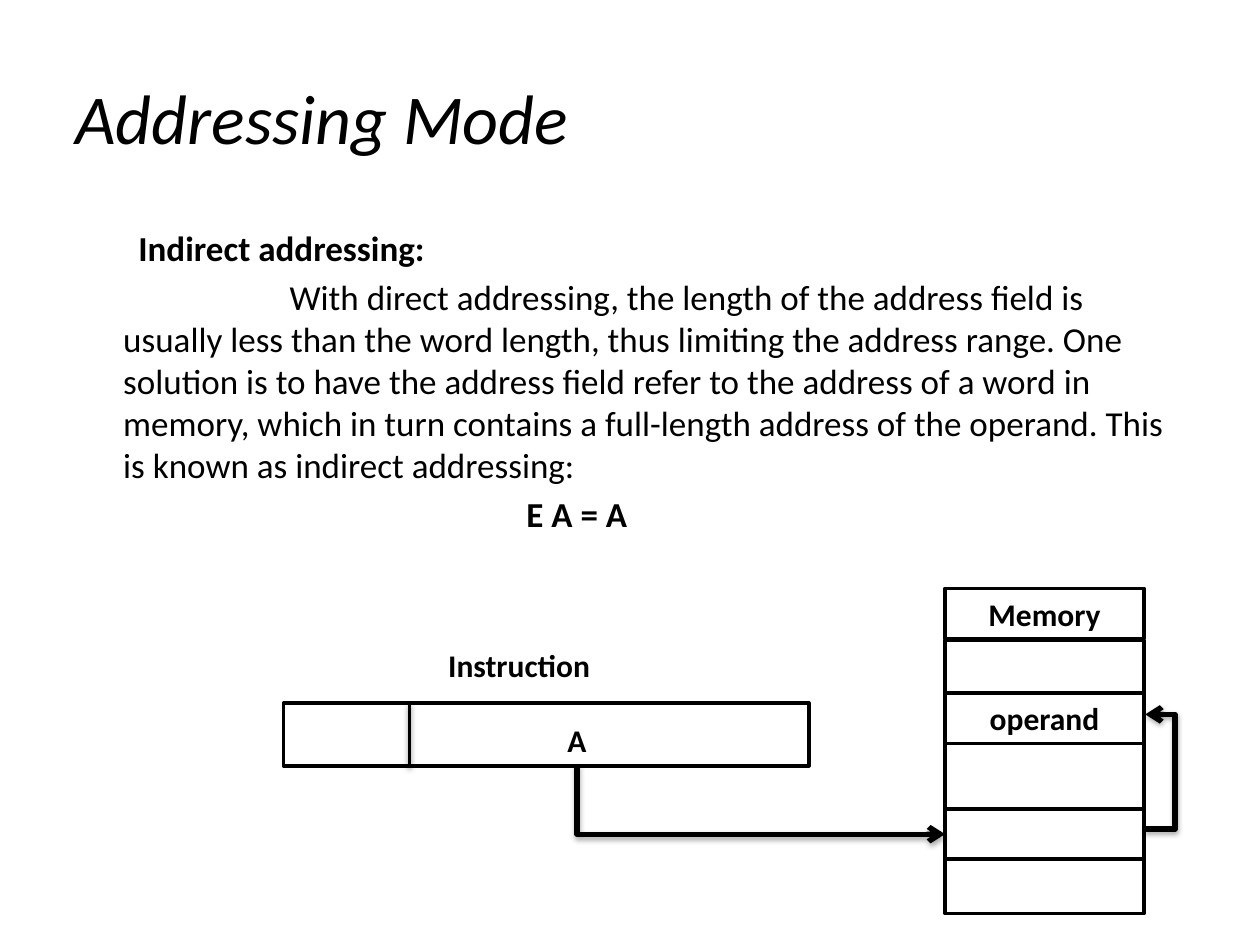
import pptx
import pptx.util
import pptx.dml.color
import pptx.enum.shapes
import pptx.enum.text
import pptx.oxml
import pptx.oxml.ns

Inches, Pt = pptx.util.Inches, pptx.util.Pt
qn = pptx.oxml.ns.qn
ALIGN = pptx.enum.text.PP_ALIGN
ANCHOR = pptx.enum.text.MSO_ANCHOR
CONN = pptx.enum.shapes.MSO_CONNECTOR

THEME = {
    "font": "Calibri", "ink": "000000", "paper": "FFFFFF",
    "title": 40, "body": 20, "label": 18, "box_line": 2, "arrow_line": 3,
}

# Content: body paragraphs are (text, bold, first-line indent)
TITLE = "Addressing Mode"
BODY = [
    ("Indirect addressing:", True, 0.12),
    ("With direct addressing, the length of the address field is usually less "
     "than the word length, thus limiting the address range. One solution is to "
     "have the address field refer to the address of a word in memory, which in "
     "turn contains a full-length address of the operand. This is known as "
     "indirect addressing:", False, 1.32),
    ("E A = A", True, 3.2),
]
BODY_MARGIN = 0.38
MEM_LEFT, MEM_WIDTH, ROW_HEIGHT = 7.5, 1.58, 0.4
MEM_RIGHT = MEM_LEFT + MEM_WIDTH
# Memory cells: (top, height, label)
MEMORY = [
    (5.08, 2.17, ""),
    (6.42, ROW_HEIGHT, ""),
    (4.67, ROW_HEIGHT, "Memory"),
    (5.5, ROW_HEIGHT, "operand"),
]
INSTRUCTION = (2.25, 5.58, 4.17, 0.5)
OPCODE_EDGE = 3.25
LABELS = [("Instruction", 3.08, 5.08, 2.08), ("A", 3.83, 5.67, 1.5)]


def rgb(name):
    return pptx.dml.color.RGBColor.from_string(THEME[name])


def add_run(p, text, size, bold=False, italic=False):
    r = p.add_run()
    r.text = text
    r.font.name, r.font.size = THEME["font"], Pt(THEME[size])
    r.font.bold, r.font.italic = bold, italic
    r.font.color.rgb = rgb("ink")


def add_text(slide, left, top, width, height):
    tf = slide.shapes.add_textbox(*map(Inches, (left, top, width, height))).text_frame
    tf.word_wrap = True
    return tf


def add_label(tf, text):
    tf.word_wrap = True
    tf.vertical_anchor = ANCHOR.TOP
    p = tf.paragraphs[0]
    p.alignment = ALIGN.CENTER
    add_run(p, text, "label", bold=True)


def add_box(slide, left, top, width, height, text=""):
    sp = slide.shapes.add_shape(pptx.enum.shapes.MSO_SHAPE.RECTANGLE,
                                *map(Inches, (left, top, width, height)))
    sp.shadow.inherit = False
    sp.fill.solid()
    sp.fill.fore_color.rgb = rgb("paper")
    sp.line.color.rgb = rgb("ink")
    sp.line.width = Pt(THEME["box_line"])
    if text:
        add_label(sp.text_frame, text)


def add_line(slide, kind, start, end, width, alpha, arrow=False):
    """Connector with a soft shadow straight below it."""
    c = slide.shapes.add_connector(kind, *map(Inches, start + end))
    c.line.color.rgb = rgb("ink")
    c.line.width = Pt(THEME[width])
    sppr = c._element.spPr
    if arrow:
        head = pptx.oxml.parse_xml(
            f'<a:tailEnd {pptx.oxml.ns.nsdecls("a")} type="arrow"/>')
        sppr.find(qn("a:ln")).append(head)
    sppr.append(pptx.oxml.parse_xml(
        f'<a:effectLst {pptx.oxml.ns.nsdecls("a")}>'
        f'<a:outerShdw blurRad="{Pt(3.1)}" dist="{Pt(1.7)}" dir="5400000" rotWithShape="0">'
        f'<a:srgbClr val="{THEME["ink"]}"><a:alpha val="{alpha * 1000}"/></a:srgbClr>'
        '</a:outerShdw></a:effectLst>'))
    return c


def bend_once(c, start, end):
    """Make an elbow run down first, then right to its end."""
    width, height = end[0] - start[0], end[1] - start[1]
    xfrm = c._element.spPr.find(qn("a:xfrm"))
    c._element.spPr.find(qn("a:prstGeom")).set("prst", "bentConnector2")
    c.left = Inches((start[0] + end[0] - height) / 2)
    c.top = Inches((start[1] + end[1] - width) / 2)
    c.width, c.height = Inches(height), Inches(width)
    xfrm.set("rot", "16200000")
    xfrm.set("flipH", "1")


def bend_outside(c, ratio):
    """Put an elbow's middle leg at a multiple of its width."""
    geom = c._element.spPr.find(qn("a:prstGeom"))
    guides = geom.get_or_add_avLst()
    guides.append(pptx.oxml.parse_xml(
        f'<a:gd {pptx.oxml.ns.nsdecls("a")} name="adj1" fmla="val {ratio * 100000}"/>'))


def main():
    prs = pptx.Presentation()
    prs.slide_width, prs.slide_height = Inches(10), Inches(7.5)
    slide = prs.slides.add_slide(prs.slide_layouts[6])

    # Title and body
    tf = add_text(slide, 0.5, 0.3, 9, 1.25)
    tf.vertical_anchor = ANCHOR.MIDDLE
    add_run(tf.paragraphs[0], TITLE, "title", italic=True)
    tf = add_text(slide, 0.5, 1.75, 9, 4.95)
    for i, (text, bold, indent) in enumerate(BODY):
        p = tf.add_paragraph() if i else tf.paragraphs[0]
        ppr = p._p.get_or_add_pPr()
        ppr.set("marL", str(Inches(BODY_MARGIN)))
        ppr.set("indent", str(Inches(indent)))
        if i:
            p.space_before = Pt(THEME["body"] * 0.2)
        add_run(p, text, "body", bold=bold)

    # Instruction word with its opcode divider
    add_box(slide, *INSTRUCTION)
    top, bottom = INSTRUCTION[1], INSTRUCTION[1] + INSTRUCTION[3]
    add_line(slide, CONN.STRAIGHT, (OPCODE_EDGE, top), (OPCODE_EDGE, bottom),
             "box_line", 38)
    for text, left, y, width in LABELS:
        add_label(add_text(slide, left, y, width, ROW_HEIGHT), text)

    # Memory cells
    for y, height, text in MEMORY:
        add_box(slide, MEM_LEFT, y, MEM_WIDTH, height, text)

    # Address field to memory, then memory to operand
    start, end = (4.58, 6.07), (MEM_LEFT, 6.62)
    bend_once(add_line(slide, CONN.ELBOW, start, end, "arrow_line", 35, arrow=True),
              start, end)
    c = add_line(slide, CONN.ELBOW, (MEM_RIGHT, 6.58), (MEM_RIGHT + 0.01, 5.67),
                 "arrow_line", 35, arrow=True)
    bend_outside(c, 25)

    prs.save("out.pptx")


if __name__ == "__main__":
    main()
